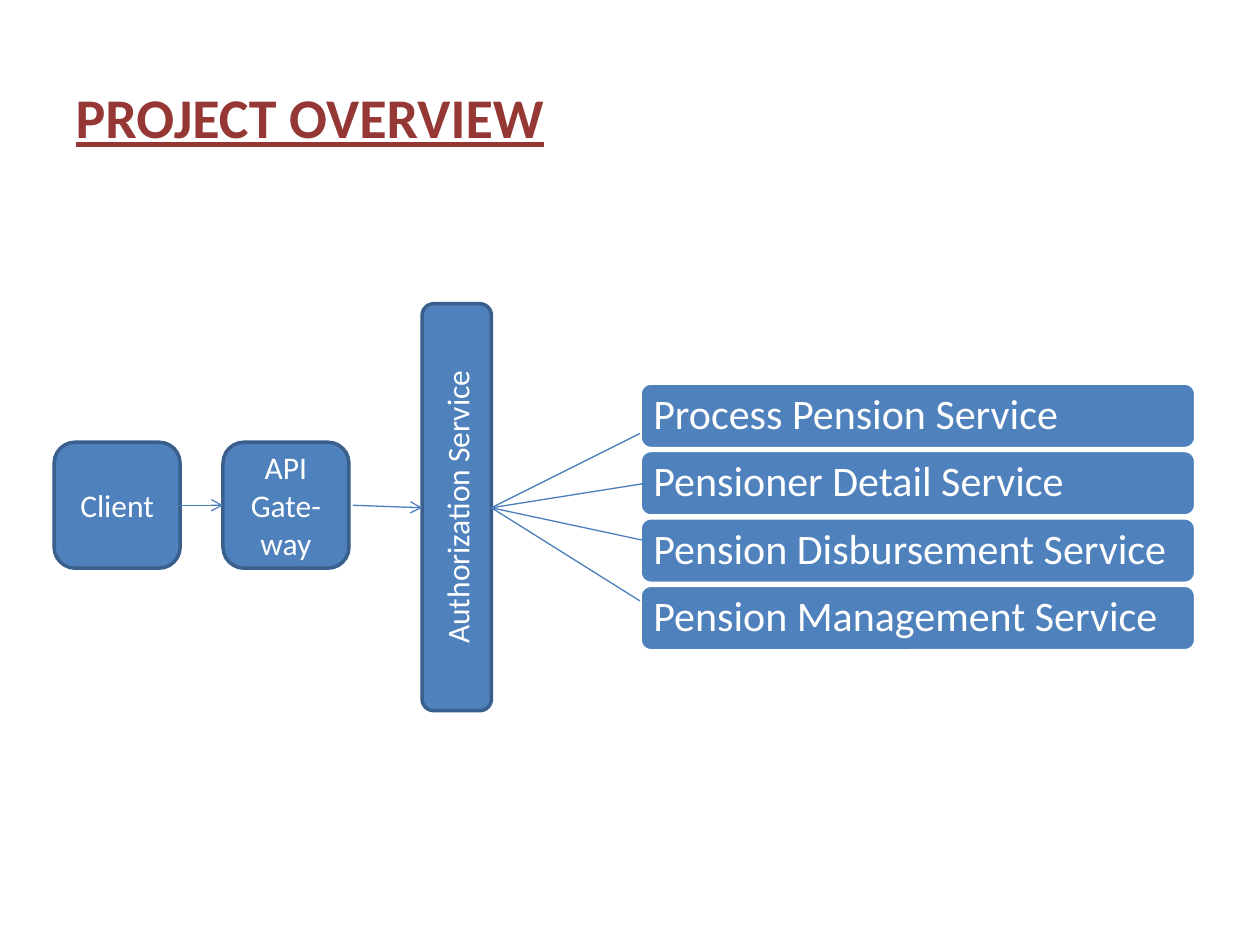
"""Build the project overview slide with its service flow diagram."""
from dataclasses import dataclass

from lxml import etree
from pptx import Presentation
from pptx.dml.color import RGBColor
from pptx.enum import shapes, text
from pptx.oxml import ns
from pptx.slide import Slide
from pptx.util import Inches, Pt


@dataclass(frozen=True)
class Theme:
    font: str = "Calibri"
    title: str = "953735"
    fill: str = "4F81BD"
    border: str = "3A5F8C"
    connector: str = "4B7EBC"
    white: str = "FFFFFF"
    title_size: int = 32
    service_size: int = 24
    node_size: int = 18


@dataclass(frozen=True)
class Box:
    label: str
    left: float
    top: float
    width: float
    height: float
    size: int
    border: str
    rotation: int = 0
    align: text.PP_ALIGN = text.PP_ALIGN.CENTER
    inset: float = 0.1
    line_spacing: float = 1.0


@dataclass(frozen=True)
class Link:
    start: tuple[float, float]
    end: tuple[float, float]
    arrow: bool = False


THEME = Theme()
SERVICES = (
    "Process Pension Service",
    "Pensioner Detail Service",
    "Pension Disbursement Service",
    "Pension Management Service",
)
SERVICE_TOP, SERVICE_PITCH = 3.04, 0.535
HUB = (3.9, 4.03)
SERVICE_ENDS = ((5.08, 3.44), (5.16, 3.83), (5.16, 4.3), (5.08, 4.77))

NODES = (
    Box("Client", 0.43, 3.51, 1, 1, THEME.node_size, THEME.border),
    Box("API Gate-way", 1.77, 3.51, 1, 1, THEME.node_size, THEME.border),
    Box("Authorization Service", 2.01, 3.75, 3.23, 0.55,
        THEME.node_size, THEME.border, rotation=270),
)
LINKS = (
    Link((1.43, 4.01), (1.77, 4.01), arrow=True),
    Link((2.8, 4.01), (3.35, 4.03), arrow=True),
    *(Link(HUB, end) for end in SERVICE_ENDS),
)


def color(value: str) -> RGBColor:
    """Turn a hex value into a colour."""
    return RGBColor.from_string(value)


def add_run(paragraph, label: str, size: int, value: str):
    """Add one formatted run and return its font."""
    run = paragraph.add_run()
    run.text = label
    run.font.name = THEME.font
    run.font.size = Pt(size)
    run.font.color.rgb = color(value)
    return run.font


def add_title(slide: Slide, label: str) -> None:
    """Fill the title placeholder."""
    title = slide.shapes.title
    title.left, title.top = Inches(0.5), Inches(0.3)
    title.width, title.height = Inches(9), Inches(1.25)
    title.text_frame.vertical_anchor = text.MSO_ANCHOR.MIDDLE
    paragraph = title.text_frame.paragraphs[0]
    paragraph.alignment = text.PP_ALIGN.LEFT
    font = add_run(paragraph, label, THEME.title_size, THEME.title)
    font.bold = font.underline = True


def add_box(slide: Slide, box: Box) -> None:
    """Draw a labelled rounded box."""
    shape = slide.shapes.add_shape(
        shapes.MSO_SHAPE.ROUNDED_RECTANGLE,
        Inches(box.left), Inches(box.top), Inches(box.width), Inches(box.height))
    shape.rotation = box.rotation
    shape.shadow.inherit = False
    shape.fill.solid()
    shape.fill.fore_color.rgb = color(THEME.fill)
    shape.line.color.rgb = color(box.border)
    shape.line.width = Pt(2)
    frame = shape.text_frame
    frame.word_wrap = True
    frame.vertical_anchor = text.MSO_ANCHOR.MIDDLE
    frame.margin_left = frame.margin_right = Inches(box.inset)
    paragraph = frame.paragraphs[0]
    paragraph.alignment = box.align
    paragraph.line_spacing = box.line_spacing
    add_run(paragraph, box.label, box.size, THEME.white)


def add_link(slide: Slide, link: Link) -> None:
    """Draw a straight connector, with an arrowhead where asked."""
    connector = slide.shapes.add_connector(
        shapes.MSO_CONNECTOR.STRAIGHT, *map(Inches, link.start + link.end))
    connector.line.color.rgb = color(THEME.connector)
    connector.line.width = Pt(0.75)
    properties = connector._element.spPr
    if link.arrow:
        outline = properties.find(ns.qn("a:ln"))
        etree.SubElement(outline, ns.qn("a:tailEnd"), type="arrow")
    etree.SubElement(properties, ns.qn("a:effectLst"))


def main() -> None:
    """Build and save the presentation."""
    presentation = Presentation()
    presentation.slide_width, presentation.slide_height = Inches(10), Inches(7.5)
    slide = presentation.slides.add_slide(presentation.slide_layouts[5])
    add_title(slide, "PROJECT OVERVIEW")
    for index, label in enumerate(SERVICES):
        add_box(slide, Box(
            label, 5.08, SERVICE_TOP + index * SERVICE_PITCH, 4.41, 0.52,
            THEME.service_size, THEME.white, align=text.PP_ALIGN.LEFT,
            inset=0.08, line_spacing=0.9))
    for node in NODES:
        add_box(slide, node)
    for link in LINKS:
        add_link(slide, link)
    presentation.save("out.pptx")


if __name__ == "__main__":
    main()
